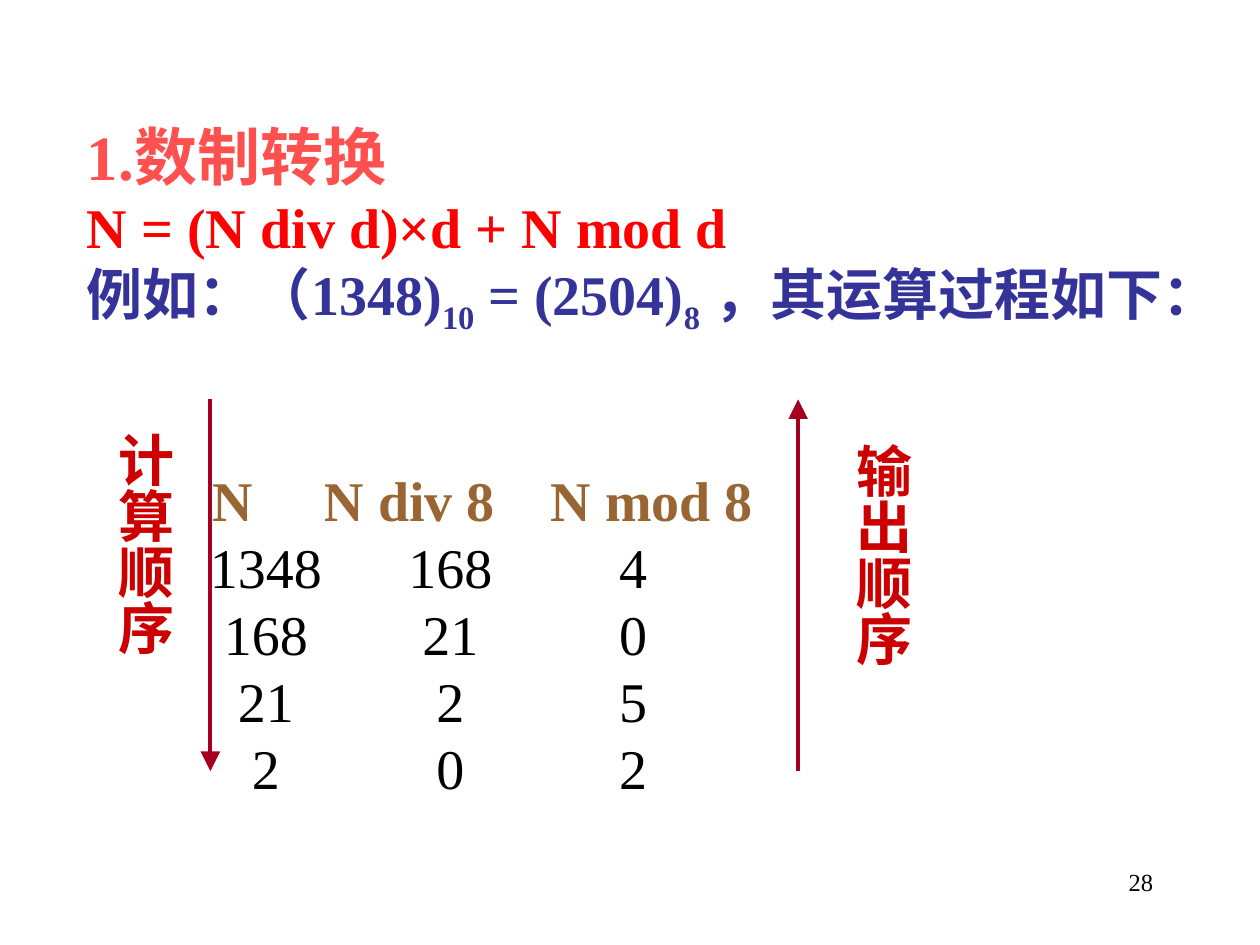
import pptx
import pptx.util
import pptx.dml.color
import pptx.enum.shapes
import pptx.enum.text
import pptx.oxml.ns
from lxml import etree

RGB = pptx.dml.color.RGBColor
CORAL = RGB(0xFF, 0x50, 0x50)
RED = RGB(0xFF, 0x00, 0x00)
NAVY = RGB(0x33, 0x33, 0x99)
BROWN = RGB(0x99, 0x66, 0x33)
BLACK = RGB(0x00, 0x00, 0x00)
CRIMSON = RGB(0xA5, 0x00, 0x21)
DARK_RED = RGB(0xCC, 0x00, 0x00)

FONT = "Times New Roman"
COLS, ROWS = 100, 75
LINE = 38.4  # line pitch of the body in points

qn = pptx.oxml.ns.qn
Pt = pptx.util.Pt
ALIGN = pptx.enum.text.PP_ALIGN
ANCHOR = pptx.enum.text.MSO_ANCHOR
AUTO = pptx.enum.text.MSO_AUTO_SIZE


def add_run(p, text, size=32, color=BLACK, bold=True, baseline=None):
    r = p.add_run()
    r.text = text
    r.font.name = FONT
    r.font.size = Pt(size)
    r.font.bold = bold
    r.font.color.rgb = color
    if baseline:
        r.font._element.set("baseline", str(baseline * 1000))
    return r


class Deck:
    def __init__(self, prs):
        self.prs = prs
        self.s = prs.slides.add_slide(prs.slide_layouts[1])

    def x(self, col):
        return int(self.prs.slide_width * col / COLS)

    def y(self, row):
        return int(self.prs.slide_height * row / ROWS)

    def box(self, col, row, cols, rows):
        return self.x(col), self.y(row), self.x(cols), self.y(rows)

    def placeholder(self, idx, *grid):
        sp = self.s.placeholders[idx]
        sp.left, sp.top, sp.width, sp.height = self.box(*grid)
        tf = sp.text_frame
        tf.word_wrap = True
        tf.auto_size = AUTO.NONE
        tf.vertical_anchor = ANCHOR.TOP
        tf.margin_right = 0
        return tf

    def body_line(self, tf, runs, before=0):
        p = tf.paragraphs[0]
        if p.runs:
            p = tf.add_paragraph()
        pPr = p._p.get_or_add_pPr()
        pPr.set("marL", "0")
        pPr.set("indent", "0")
        etree.SubElement(pPr, qn("a:buNone"))
        p.alignment = ALIGN.LEFT
        p.line_spacing = Pt(LINE)
        p.space_before = Pt(before)
        p.space_after = Pt(0)
        for text, style in runs:
            add_run(p, text, **style)

    def table(self, rows, col, row, widths, margins):
        """Left-aligned header; centred data, shifted by cell margins."""
        frame = self.s.shapes.add_table(
            len(rows), len(widths),
            *self.box(col, row, sum(widths), len(rows) * LINE / 7.2))
        table = frame.table
        table.first_row = table.horz_banding = False
        for column, width in zip(table.columns, widths):
            column.width = self.x(width)
        for i, values in enumerate(rows):
            table.rows[i].height = Pt(LINE)
            for j, value in enumerate(values):
                cell = table.cell(i, j)
                cell.fill.background()
                cell.vertical_anchor = ANCHOR.MIDDLE
                left, right = margins[j] if i else (0.4 if j == 0 else 0, 0)
                cell.margin_left, cell.margin_right = self.x(left), self.x(right)
                cell.margin_top = cell.margin_bottom = 0
                p = cell.text_frame.paragraphs[0]
                p.alignment = ALIGN.CENTER if i else ALIGN.LEFT
                add_run(p, str(value), color=BLACK if i else BROWN, bold=i == 0)

    def text(self, text, *grid, align=ALIGN.LEFT, vertical=False, **style):
        tf = self.s.shapes.add_textbox(*self.box(*grid)).text_frame
        tf.word_wrap = not vertical
        if vertical:
            tf.auto_size = AUTO.SHAPE_TO_FIT_TEXT
            tf._txBody.bodyPr.set("vert", "eaVert")
        p = tf.paragraphs[0]
        p.alignment = align
        add_run(p, text, **style)

    def arrow(self, col, start, end):
        c = self.s.shapes.add_connector(
            pptx.enum.shapes.MSO_CONNECTOR.STRAIGHT,
            self.x(col), self.y(start), self.x(col), self.y(end))
        c.line.color.rgb = CRIMSON
        c.line.width = Pt(2.25)
        etree.SubElement(c.line._get_or_add_ln(), qn("a:tailEnd"),
                         type="triangle", w="lg", len="lg")
        etree.SubElement(c._element.spPr, qn("a:effectLst"))


def main():
    prs = pptx.Presentation()
    prs.slide_width = pptx.util.Inches(10)
    prs.slide_height = pptx.util.Inches(7.5)
    deck = Deck(prs)

    # Heading
    p = deck.placeholder(0, 5.9, 8.8, 92.6, 6).paragraphs[0]
    p.alignment = ALIGN.LEFT
    add_run(p, "1.数制转换", size=36, color=CORAL)

    # Formula and example
    tf = deck.placeholder(1, 5.9, 14.8, 92.6, 14)
    navy, sub = {"color": NAVY}, {"color": NAVY, "baseline": -25}
    deck.body_line(tf, [("N = (N div d)×d + N mod d", {"color": RED})])
    deck.body_line(tf, [("例如：（1348)", navy), ("10", sub), (" = (2504)", navy),
                        ("8", sub), (" ，其运算过程如下：", navy)], before=5)

    # Division steps
    steps = [("N", "N div 8", "N mod 8")]
    n = 1348
    while n:
        quotient, remainder = divmod(n, 8)
        steps.append((n, quotient, remainder))
        n = quotient
    deck.table(steps, 16.5, 37.2, widths=(9.2, 18, 16.5),
               margins=((0, 0), (2.1, 0), (0, 3.4)))

    # Order arrows and their labels
    deck.arrow(16.7, 31.7, 61.2)
    deck.arrow(63.35, 61.2, 31.7)
    deck.text("计算顺序", 7.3, 33.3, 7.3, 18.5, vertical=True, color=DARK_RED)
    deck.text("输出顺序", 65.9, 34.2, 7.3, 18.5, vertical=True, color=DARK_RED)

    # Page number
    deck.text("28", 71.7, 68.3, 20.8, 5, align=ALIGN.RIGHT, size=14, bold=False)

    prs.save("out.pptx")


if __name__ == "__main__":
    main()
